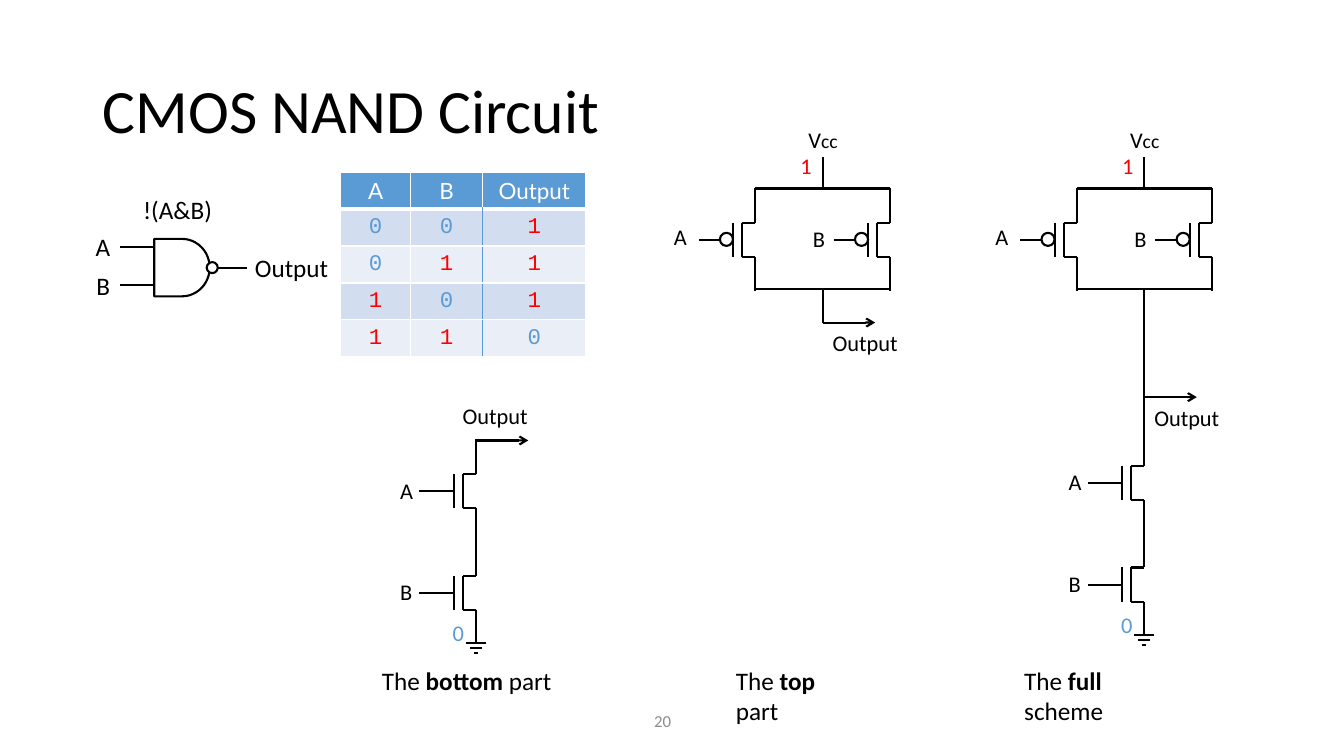
import pptx
import pptx.dml.color
import pptx.enum.shapes
import pptx.enum.text
import pptx.oxml
import pptx.oxml.ns
import pptx.util
from pptx.util import Inches

COLOURS = {
    "ink": "000000", "paper": "FFFFFF", "grey": "8C8C8C",
    "one": "FF0000", "zero": "5B9BD5", "header": "5B9BD5",
    "odd row": "D2DEEF", "even row": "EAEFF7",
}
ALIGN = pptx.enum.text.PP_ALIGN
MIDDLE = pptx.enum.text.MSO_ANCHOR.MIDDLE
SHAPE = pptx.enum.shapes.MSO_SHAPE
TRUTH_TABLE = ["AB", "001", "011", "101", "110"]
CHANNEL = 0.34  # length of a transistor channel and of its leads
ROW_PITCH = 1.01  # distance between the stacked transistors


def colour(name):
    return pptx.dml.color.RGBColor.from_string(COLOURS[name])


def style(span, size, ink="ink", font="Calibri", bold=False):
    span.font.size = pptx.util.Pt(size)
    span.font.name = font
    span.font.bold = bold
    span.font.color.rgb = colour(ink)


def label(shapes, spans, left, top, width, height=0.37, size=16, ink="ink",
          align=ALIGN.LEFT, wrap=False):
    """Add a text box; spans is a string or a list of (text, size, bold)."""
    box = shapes.add_textbox(Inches(left), Inches(top), Inches(width), Inches(height))
    box.text_frame.word_wrap = wrap
    box.text_frame.auto_size = pptx.enum.text.MSO_AUTO_SIZE.SHAPE_TO_FIT_TEXT
    para = box.text_frame.paragraphs[0]
    para.alignment = align
    for text, points, bold in [(spans, size, False)] if isinstance(spans, str) else spans:
        span = para.add_run()
        span.text = text
        style(span, points, ink, bold=bold)
    return box


def wire(shapes, x1, y1, x2, y2, arrow=False):
    line = shapes.add_connector(pptx.enum.shapes.MSO_CONNECTOR.STRAIGHT,
                                Inches(x1), Inches(y1), Inches(x2), Inches(y2))
    line.line.width = pptx.util.Pt(1.5)
    line.line.color.rgb = colour("ink")
    if arrow:
        pptx.oxml.ns  # namespace helpers are used through parse_xml below
        line.line._get_or_add_ln().append(pptx.oxml.parse_xml(
            f'<a:tailEnd {pptx.oxml.ns.nsdecls("a")} type="arrow"/>'))
    line._element.spPr.append(pptx.oxml.parse_xml(
        f'<a:effectLst {pptx.oxml.ns.nsdecls("a")}/>'))


def outlined(shapes, kind, left, top, width, height):
    shape = shapes.add_shape(kind, Inches(left), Inches(top), Inches(width), Inches(height))
    shape.shadow.inherit = False
    shape.fill.solid()
    shape.fill.fore_color.rgb = colour("paper")
    shape.line.color.rgb = colour("ink")
    shape.line.width = pptx.util.Pt(1.5)


def transistor(shapes, x, top, inverted=False, upper_lead=CHANNEL):
    """Draw a transistor whose leads run along x and whose channel starts at top."""
    bottom, middle = top + CHANNEL, top + CHANNEL / 2
    channel, gate = x - 0.13, x - 0.22
    wire(shapes, channel, top, channel, bottom)
    wire(shapes, channel, top, x, top)
    wire(shapes, channel, bottom, x, bottom)
    wire(shapes, x, top - upper_lead, x, top)
    wire(shapes, x, bottom, x, bottom + CHANNEL)
    wire(shapes, gate, top, gate, bottom)
    wire(shapes, gate, middle, gate - 0.34, middle)
    if inverted:
        outlined(shapes, SHAPE.OVAL, gate - 0.13, middle - 0.07, 0.13, 0.13)


def output_arrow(shapes, x, y, label_left, label_top):
    wire(shapes, x, y, x + 0.52, y, arrow=True)
    label(shapes, "Output", x + label_left, y + label_top, 0.85)


def pull_up(shapes, left, top, drop):
    """Draw the parallel pair, with its output a given drop below it."""
    width, bottom = 1.34, top + 1
    right, centre = left + width, left + width / 2
    for x in (left, right):
        transistor(shapes, x, top + CHANNEL, inverted=True)
    for y in (top, bottom):
        wire(shapes, left, y, right, y)
    wire(shapes, centre, top - 0.31, centre, top)
    wire(shapes, centre, bottom, centre, bottom + drop)
    label(shapes, [("V", 16, False), ("cc", 14, False)], left + 0.43, top - 0.67, 0.49)
    label(shapes, "1", left + 0.35, top - 0.41, 0.32, ink="one")
    label(shapes, "A", left - 0.91, top + 0.29, 0.33, align=ALIGN.RIGHT)
    label(shapes, "B", right - 0.89, top + 0.31, 0.34, align=ALIGN.RIGHT)
    output_arrow(shapes, centre, bottom + drop, 0, 0.02)


def pull_down(shapes, x, top, upper_lead=CHANNEL):
    """Draw the series pair down to ground."""
    for row, (name, lead) in enumerate((("A", upper_lead), ("B", CHANNEL))):
        y = top + CHANNEL + row * ROW_PITCH
        transistor(shapes, x, y, upper_lead=lead)
        label(shapes, name, x - 0.85, y - 0.02, 0.34)
    for step, half in enumerate((0.1, 0.06, 0.02)):
        y = top + 2.02 + step * 0.05
        wire(shapes, x - half, y, x + half, y)
    label(shapes, "0", x - 0.33, top + 1.73, 0.32, ink="zero")


def nand_gate(shapes, left, top):
    body, middle = left + 0.68, top + 0.41
    for name, y in (("A", top + 0.2), ("B", top + 0.58)):
        wire(shapes, body, y, body - 0.34, y)
        label(shapes, name, left, y - 0.2, 0.34, 0.4, 18, align=ALIGN.RIGHT)
    outlined(shapes, SHAPE.FLOWCHART_DELAY, body, top + 0.12, 0.55, 0.57)
    outlined(shapes, SHAPE.OVAL, body + 0.52, middle - 0.06, 0.11, 0.11)
    wire(shapes, body + 0.92, middle, body + 0.63, middle)
    label(shapes, "Output", body + 0.9, middle - 0.21, 0.95, 0.4, 18)
    label(shapes, "!(A&B)", left + 0.47, top - 0.37, 0.89, 0.4, 18)


def border(cell, sides):
    """Set the cell borders; sides maps L, R, T, B to (colour name, points)."""
    properties = cell._tc.get_or_add_tcPr()
    for place, side in enumerate("LRTB"):
        name, points = sides[side]
        properties.insert(place, pptx.oxml.parse_xml(
            f'<a:ln{side} {pptx.oxml.ns.nsdecls("a")} w="{points * 12700}"><a:solidFill>'
            f'<a:srgbClr val="{COLOURS[name]}"/></a:solidFill></a:ln{side}>'))


def truth_table(page, left, top):
    rows = [["A", "B", "Output"]] + [list(line) for line in TRUTH_TABLE[1:]]
    widths, height = (0.69, 0.72, 1.02), 0.366
    table = page.shapes.add_table(len(rows), 3, Inches(left), Inches(top),
                                  Inches(sum(widths)), Inches(height * len(rows))).table
    for column, width in zip(table.columns, widths):
        column.width = Inches(width)
    for r, values in enumerate(rows):
        table.rows[r].height = Inches(height)
        for c, value in enumerate(values):
            cell = table.cell(r, c)
            cell.text = value
            cell.vertical_anchor = MIDDLE
            para = cell.text_frame.paragraphs[0]
            para.alignment = ALIGN.CENTER
            if r == 0:
                style(para.runs[0], 16, "paper", "Lato")
            else:
                style(para.runs[0], 16, "one" if value == "1" else "zero", "Courier New")
            cell.fill.solid()
            cell.fill.fore_color.rgb = colour(
                "header" if r == 0 else "odd row" if r % 2 else "even row")
            sides = {side: ("paper", 1) for side in "LRTB"}
            if r == 0:
                sides["B"] = ("paper", 3)
            elif c > 0:
                sides["R" if c == 1 else "L"] = ("zero", 1)
            if r == 1:
                sides["T"] = ("paper", 3)
            border(cell, sides)


def title(page, text):
    box = page.shapes.title
    box.left, box.top, box.width, box.height = map(Inches, (0.92, 0.4, 11.5, 1.45))
    box.text_frame.text = text
    box.text_frame.vertical_anchor = MIDDLE
    para = box.text_frame.paragraphs[0]
    para.alignment = ALIGN.LEFT
    para.line_spacing = 0.9
    style(para.runs[0], 44)


def main():
    deck = pptx.Presentation()
    deck.slide_width, deck.slide_height = Inches(13.33), Inches(7.5)
    page = deck.slides.add_slide(deck.slide_layouts[5])
    title(page, "CMOS NAND Circuit")
    number = label(page.shapes, "20", 6.39, 6.95, 0.79, 0.4, 12, "grey", wrap=True)
    number.text_frame.auto_size = pptx.enum.text.MSO_AUTO_SIZE.NONE
    number.text_frame.vertical_anchor = MIDDLE
    truth_table(page, 3.38, 1.71)
    gate, bottom, top, full = (page.shapes.add_group_shape().shapes for _ in range(4))
    nand_gate(gate, 0.85, 2.25)
    pull_down(bottom, 4.72, 4.36)
    output_arrow(bottom, 4.72, 4.37, -0.23, -0.43)
    pull_up(top, 7.49, 1.87, 0.33)
    pull_up(full, 10.68, 1.87, 1.07)
    pull_down(full, 11.35, 4.28, upper_lead=0.68)
    for left, width, part, noun in ((3.69, 2, "bottom ", "part"), (7.2, 1.35, "top ", "part"),
                                    (10.06, 1.6, "full ", "scheme")):
        label(page.shapes, [("The ", 18, False), (part, 18, True), (noun, 18, False)],
              left, 6.55, width, 0.4, wrap=True)
    deck.save("out.pptx")


if __name__ == "__main__":
    main()
